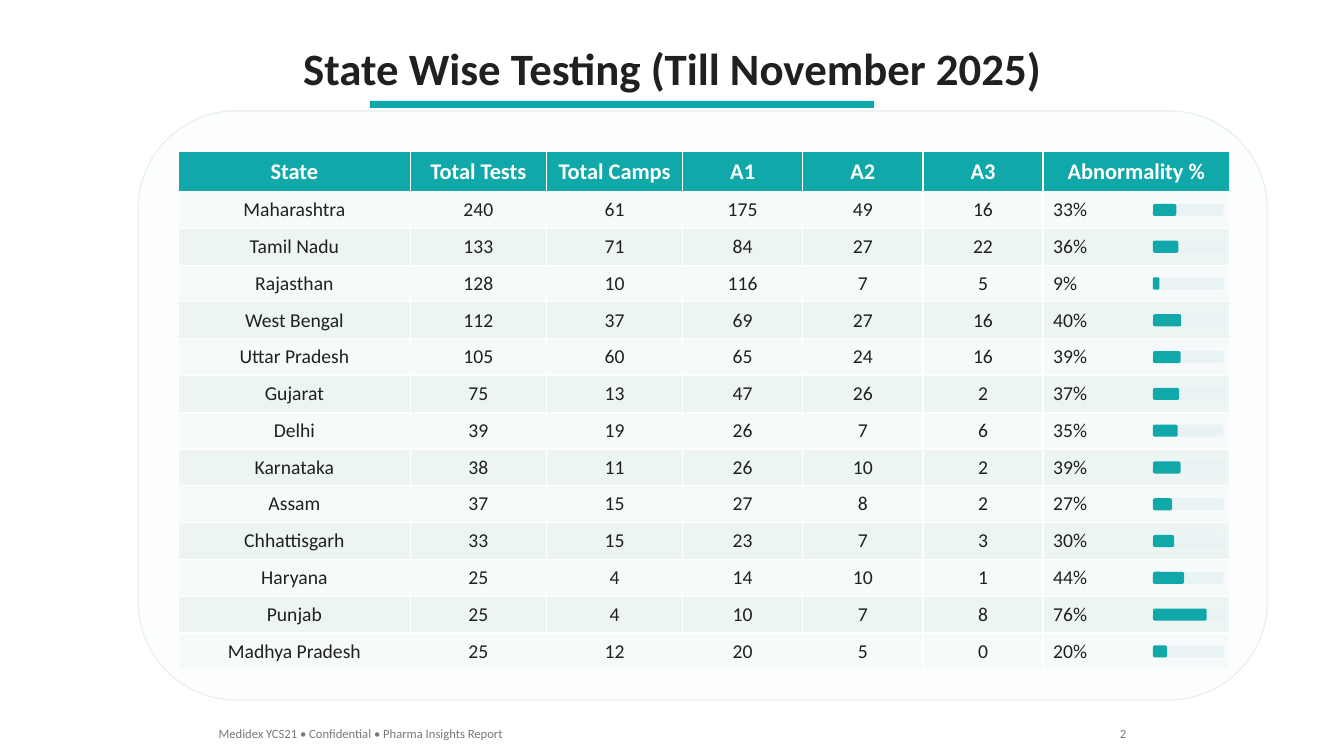
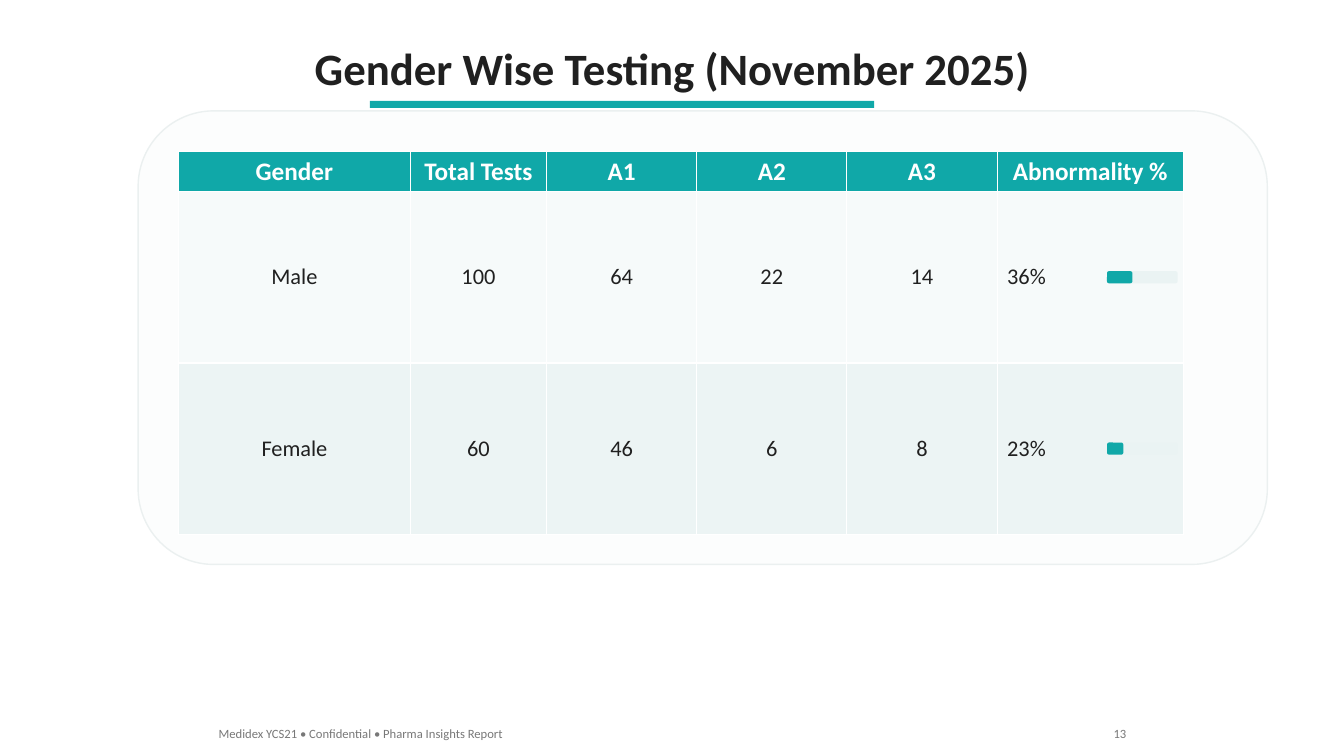
from pptx import Presentation
from pptx.dml.color import RGBColor
from pptx.enum.shapes import MSO_SHAPE as Shape
from pptx.enum.text import MSO_ANCHOR as Anchor, PP_ALIGN as Align
from pptx.util import Inches, Pt

COLORS = {
    "teal": "10A8A8", "ink": "202020", "white": "FFFFFF", "gray": "787878",
    "panel": "FCFDFD", "outline": "EBF0F0", "track": "EAF3F3",
    "odd": "F6FAFA", "even": "ECF4F4",
}
FONT = "Calibri"
FOOTER = "Medidex YCS21 • Confidential • Pharma Insights Report"


def color(name):
    return RGBColor.from_string(COLORS[name])


def grid(n):
    """Length of n grid steps, ten to the inch."""
    return Inches(n / 10)


def write(tf, text, size=14, ink="ink", bold=False, align=Align.LEFT):
    p = tf.paragraphs[0]
    p.alignment = align
    r = p.add_run()
    r.text = text
    r.font.name, r.font.size, r.font.bold = FONT, Pt(size), bold
    r.font.color.rgb = color(ink)


class Deck:
    LEFT, TOP = 17.7, 15        # table corner
    HEADER = 4                  # header row height
    BAR_W, BAR_H = 7, 1.2       # full length and height of a bar
    BAR_INSET = 7.6             # from bar start to the table's right edge

    def __init__(self):
        self.prs = Presentation()
        self.prs.slide_width, self.prs.slide_height = Inches(13.33), Inches(7.5)
        self.s = None

    def text(self, x, y, w, h, text, **fmt):
        tf = self.s.shapes.add_textbox(*map(grid, (x, y, w, h))).text_frame
        tf.word_wrap = True
        write(tf, text, **fmt)

    def box(self, x, y, w, h, fill, kind=Shape.ROUNDED_RECTANGLE, line=None):
        sp = self.s.shapes.add_shape(kind, *map(grid, (x, y, w, h)))
        sp.shadow.inherit = False
        sp.fill.solid()
        sp.fill.fore_color.rgb = color(fill)
        if line:
            sp.line.color.rgb = color(line)
            sp.line.width = Pt(1)
        else:
            sp.line.fill.background()

    def slide(self, title, number):
        """Start a slide with the shared title, rule and footer."""
        self.s = self.prs.slides.add_slide(self.prs.slide_layouts[6])
        self.text(21.7, 3.5, 90, 6.4, title, size=32, bold=True, align=Align.CENTER)
        self.box(36.7, 10, 50, 0.7, "teal", kind=Shape.RECTANGLE)
        self.text(20.7, 71.5, 33, 2.5, FOOTER, size=9, ink="gray")
        self.text(106.7, 71.5, 6, 2.5, str(number), size=9, ink="gray",
                  align=Align.RIGHT)

    def cell(self, cell, text, fill, **fmt):
        cell.fill.solid()
        cell.fill.fore_color.rgb = color(fill)
        cell.vertical_anchor = Anchor.MIDDLE
        write(cell.text_frame, text, **fmt)

    def table(self, heads, rows, widths, row_h, size):
        """Panel and table; the last value of each row is a percentage with a bar."""
        height = self.HEADER + row_h * len(rows)
        self.box(13.7, 11, 112, height + 7, "panel", line="outline")

        frame = self.s.shapes.add_table(
            len(rows) + 1, len(heads),
            *map(grid, (self.LEFT, self.TOP, sum(widths), height)))
        tbl = frame.table
        tbl.horz_banding = False
        for col, w in zip(tbl.columns, widths):
            col.width = grid(w)
        for i, row in enumerate(tbl.rows):
            row.height = grid(row_h if i else self.HEADER)

        # Header row
        for c, head in enumerate(heads):
            self.cell(tbl.cell(0, c), head, "teal", size=size + 2, ink="white",
                      bold=True, align=Align.CENTER)

        # Body rows with their bars
        bar_x = self.LEFT + sum(widths) - self.BAR_INSET
        for i, (*values, percent) in enumerate(rows):
            band = "even" if i % 2 else "odd"
            for c, value in enumerate(values):
                self.cell(tbl.cell(i + 1, c), str(value), band, size=size,
                          align=Align.CENTER)
            self.cell(tbl.cell(i + 1, len(values)), f"{percent}%", band, size=size)
            bar_y = self.TOP + self.HEADER + (i + 0.5) * row_h - self.BAR_H / 2
            self.box(bar_x, bar_y, self.BAR_W, self.BAR_H, "track")
            self.box(bar_x, bar_y, self.BAR_W * percent / 100, self.BAR_H, "teal")


STATES = [
    ("Maharashtra", 240, 61, 175, 49, 16, 33),
    ("Tamil Nadu", 133, 71, 84, 27, 22, 36),
    ("Rajasthan", 128, 10, 116, 7, 5, 9),
    ("West Bengal", 112, 37, 69, 27, 16, 40),
    ("Uttar Pradesh", 105, 60, 65, 24, 16, 39),
    ("Gujarat", 75, 13, 47, 26, 2, 37),
    ("Delhi", 39, 19, 26, 7, 6, 35),
    ("Karnataka", 38, 11, 26, 10, 2, 39),
    ("Assam", 37, 15, 27, 8, 2, 27),
    ("Chhattisgarh", 33, 15, 23, 7, 3, 30),
    ("Haryana", 25, 4, 14, 10, 1, 44),
    ("Punjab", 25, 4, 10, 7, 8, 76),
    ("Madhya Pradesh", 25, 12, 20, 5, 0, 20),
]
GENDERS = [("Male", 100, 64, 22, 14, 36), ("Female", 60, 46, 6, 8, 23)]
GRADES = ["A1", "A2", "A3", "Abnormality %"]


def main():
    deck = Deck()

    deck.slide("State Wise Testing (Till November 2025)", 2)
    deck.table(["State", "Total Tests", "Total Camps", *GRADES], STATES,
               [23, 13.5, 13.5, *[11.92] * 3, 18.5], row_h=3.65, size=14)

    deck.slide("Gender Wise Testing (November 2025)", 13)
    deck.table(["Gender", "Total Tests", *GRADES], GENDERS,
               [23, 13.5, *[14.9] * 3, 18.5], row_h=17, size=16)

    deck.prs.save("out.pptx")


if __name__ == "__main__":
    main()
